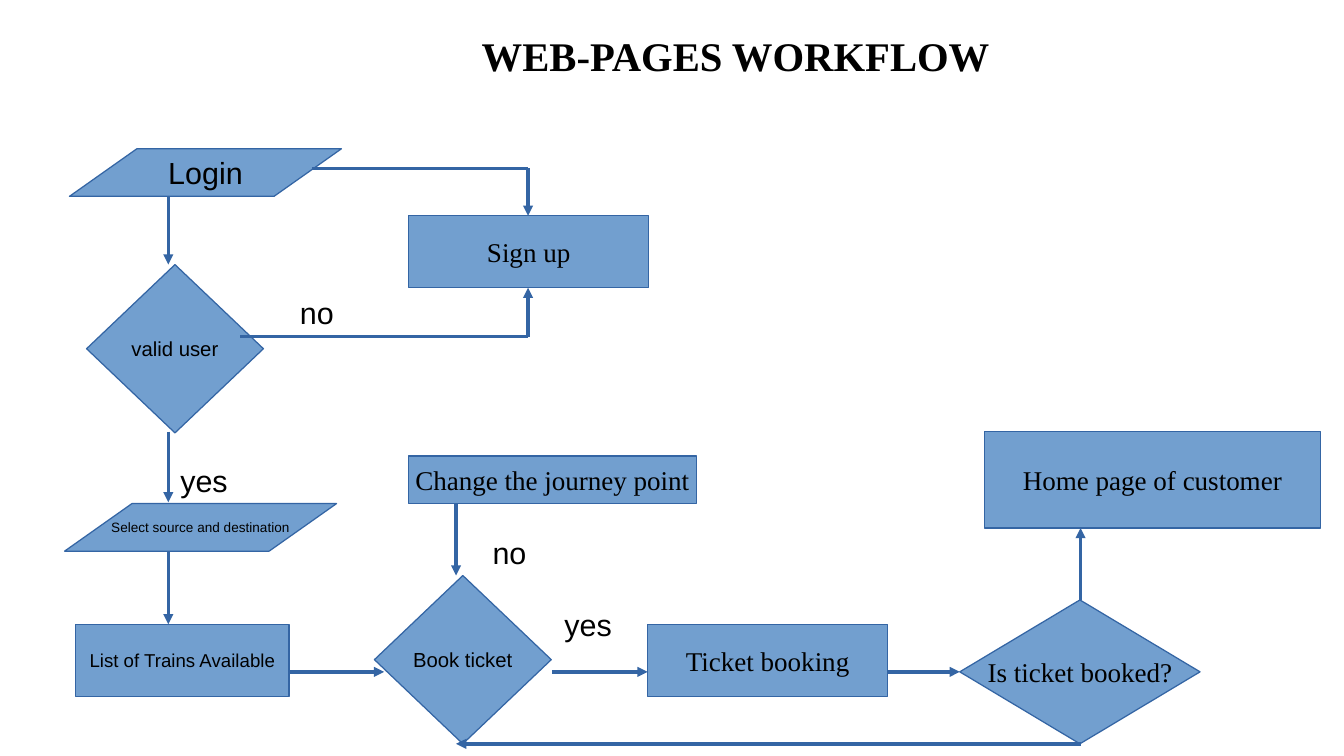
from dataclasses import dataclass

from lxml.etree import SubElement
from pptx import Presentation
from pptx.dml.color import RGBColor
from pptx.enum.shapes import MSO_CONNECTOR as Link, MSO_SHAPE as Form
from pptx.enum.text import MSO_ANCHOR as Anchor, MSO_AUTO_SIZE as Fit, PP_ALIGN as Align
from pptx.oxml.ns import qn
from pptx.slide import Slide
from pptx.text.text import TextFrame
from pptx.util import Inches, Pt

BLUE = RGBColor(0x72, 0x9F, 0xCF)
EDGE = RGBColor(0x34, 0x65, 0xA4)
BLACK = RGBColor(0, 0, 0)
SANS, SERIF = "Arial", "Times New Roman"
SLANT = 1.416


@dataclass
class Step:
    text: str
    form: Form
    left: float
    top: float
    width: float
    height: float
    size: int = 16
    font: str = SERIF


@dataclass
class Label:
    text: str
    left: float
    top: float


@dataclass
class Flow:
    x1: float
    y1: float
    x2: float
    y2: float
    arrow: bool = True


STEPS = [
    Step("Login", Form.PARALLELOGRAM, 0.57, 1.22, 2.23, 0.39, 18, SANS),
    Step("valid user", Form.DIAMOND, 0.71, 2.17, 1.45, 1.38, 12, SANS),
    Step("Select source and destination", Form.PARALLELOGRAM, 0.53, 4.13, 2.23, 0.39, 8, SANS),
    Step("List of Trains Available", Form.RECTANGLE, 0.62, 5.12, 1.75, 0.59, 11, SANS),
    Step("Book ticket", Form.DIAMOND, 3.07, 4.72, 1.45, 1.38, 12, SANS),
    Step("Ticket booking", Form.RECTANGLE, 5.31, 5.12, 1.97, 0.59),
    Step("Is ticket booked?", Form.DIAMOND, 7.87, 4.92, 1.97, 1.18),
    Step("Home page of customer", Form.RECTANGLE, 8.07, 3.54, 2.76, 0.79),
    Step("Sign up", Form.RECTANGLE, 3.35, 1.77, 1.97, 0.59),
    Step("Change the journey point", Form.RECTANGLE, 3.35, 3.74, 2.36, 0.39),
]

LABELS = [
    Label("no", 3.94, 4.33),
    Label("yes", 4.53, 4.92),
    Label("yes", 1.38, 3.74),
    Label("no", 2.36, 2.36),
]

LOGIN_X, SIGN_X, BOOK_X, DONE_X = 1.38, 4.33, 3.74, 8.86
ROW_Y, BACK_Y = 5.51, 6.1

FLOWS = [
    Flow(SIGN_X, 2.76, 1.97, 2.76, False),
    Flow(SIGN_X, 2.76, SIGN_X, 2.36),
    Flow(LOGIN_X, 1.62, LOGIN_X, 2.17),
    Flow(LOGIN_X, 3.54, LOGIN_X, 4.12),
    Flow(LOGIN_X, 4.53, LOGIN_X, 5.12),
    Flow(2.36, ROW_Y, 3.15, ROW_Y),
    Flow(4.53, ROW_Y, 5.31, ROW_Y),
    Flow(7.28, ROW_Y, 7.87, ROW_Y),
    Flow(DONE_X, BACK_Y, BOOK_X, BACK_Y),
    Flow(DONE_X, 4.92, DONE_X, 4.33),
    Flow(BOOK_X, 4.13, BOOK_X, 4.72),
    Flow(2.56, 1.38, SIGN_X, 1.38, False),
    Flow(SIGN_X, 1.38, SIGN_X, 1.77),
]


def write(frame: TextFrame, text: str, size: int, font: str,
          align: Align = Align.LEFT, bold: bool = False) -> None:
    line = frame.paragraphs[0]
    line.alignment = align
    run = line.add_run()
    run.text = text
    run.font.name = font
    run.font.size = Pt(size)
    run.font.bold = bold
    run.font.color.rgb = BLACK


def add_title(slide: Slide, text: str) -> None:
    title = slide.shapes.title
    title.left, title.top = Inches(3.85), Inches(0.2)
    title.width, title.height = Inches(6.19), Inches(0.47)
    frame = title.text_frame
    frame.vertical_anchor = Anchor.TOP
    frame.auto_size = Fit.NONE
    write(frame, text, 24, SERIF, bold=True)


def add_step(slide: Slide, step: Step) -> None:
    shape = slide.shapes.add_shape(
        step.form, Inches(step.left), Inches(step.top),
        Inches(step.width), Inches(step.height))
    if step.form == Form.PARALLELOGRAM:
        shape.adjustments[0] = SLANT
    shape.shadow.inherit = False
    shape.fill.solid()
    shape.fill.fore_color.rgb = BLUE
    shape.line.color.rgb = EDGE
    shape.line.width = Pt(0)
    frame = shape.text_frame
    frame.word_wrap = False
    frame.vertical_anchor = Anchor.MIDDLE
    write(frame, step.text, step.size, step.font, Align.CENTER)


def add_label(slide: Slide, label: Label) -> None:
    box = slide.shapes.add_textbox(
        Inches(label.left), Inches(label.top), Inches(0.59), Inches(0.38))
    frame = box.text_frame
    frame.word_wrap = True
    frame.auto_size = Fit.SHAPE_TO_FIT_TEXT
    write(frame, label.text, 18, SANS)


def add_flow(slide: Slide, flow: Flow) -> None:
    link = slide.shapes.add_connector(
        Link.STRAIGHT, Inches(flow.x1), Inches(flow.y1),
        Inches(flow.x2), Inches(flow.y2))
    link.line.color.rgb = EDGE
    link.line.width = Pt(0)
    if flow.arrow:
        SubElement(link.line._get_or_add_ln(), qn("a:tailEnd"), type="triangle")
    SubElement(link._element.spPr, qn("a:effectLst"))


def main() -> None:
    deck = Presentation()
    deck.slide_width, deck.slide_height = Inches(11.02), Inches(6.2)
    slide = deck.slides.add_slide(deck.slide_layouts.get_by_name("Title Only"))
    add_title(slide, "WEB-PAGES WORKFLOW")
    for step in STEPS:
        add_step(slide, step)
    for label in LABELS:
        add_label(slide, label)
    for flow in FLOWS:
        add_flow(slide, flow)
    deck.save("out.pptx")


if __name__ == "__main__":
    main()
